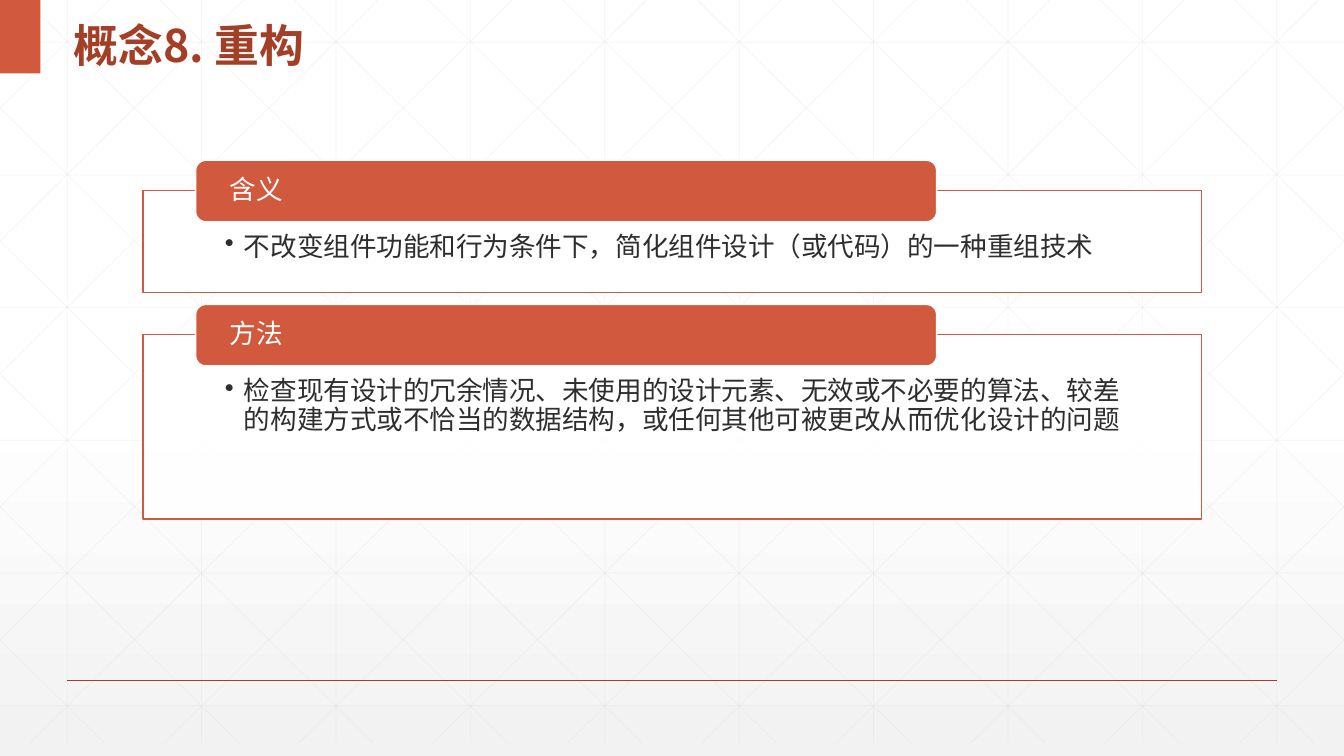
import pptx
import pptx.dml.color
import pptx.enum.shapes
import pptx.enum.text
import pptx.oxml.ns
import pptx.util
from lxml import etree

WIDTH, HEIGHT = 13.33, 7.5
GRID_BOTTOM = 7.37
COLUMN, ROW = WIDTH / 10, 1.316
DIAGONAL_RUN = 7.45
ORANGE, RUST, WHITE, INK, MESH = "D15A3E", "A43F27", "FFFFFF", "2D2E2D", "D9D9D9"
CJK = "Noto Sans CJK SC"
SECTIONS = [
    (1.59, 1.01, "含义",
     "不改变组件功能和行为条件下，简化组件设计（或代码）的一种重组技术"),
    (3.02, 1.83, "方法",
     "检查现有设计的冗余情况、未使用的设计元素、无效或不必要的算法、"
     "较差的构建方式或不恰当的数据结构，或任何其他可被更改从而优化设计的问题"),
]


def rgb(code):
    """Turn a hex string into a colour."""
    return pptx.dml.color.RGBColor.from_string(code)


def add_child(parent, tag, **attributes):
    """Append a drawing element with its attributes."""
    return etree.SubElement(parent, pptx.oxml.ns.qn(tag), **attributes)


def fade(shape, percent):
    """Make the colours set so far on a shape partly transparent."""
    for colour in shape.element.spPr.iter(pptx.oxml.ns.qn("a:srgbClr")):
        add_child(colour, "a:alpha", val=str(percent * 1000))


def add_line(slide, start, end, colour, width, opacity=100):
    """Draw a straight line between two points."""
    points = [pptx.util.Inches(length) for length in (*start, *end)]
    line = slide.shapes.add_connector(pptx.enum.shapes.MSO_CONNECTOR.STRAIGHT, *points)
    line.line.color.rgb = rgb(colour)
    line.line.width = pptx.util.Pt(width)
    if opacity < 100:
        fade(line, opacity)
    add_child(line.element.spPr, "a:effectLst")


def add_block(slide, kind, box, fill, outline=None, opacity=100):
    """Draw a filled shape with an optional outline."""
    block = slide.shapes.add_shape(kind, *(pptx.util.Inches(length) for length in box))
    block.shadow.inherit = False
    block.fill.solid()
    block.fill.fore_color.rgb = rgb(fill)
    if opacity < 100:
        fade(block, opacity)
    if outline:
        block.line.color.rgb = rgb(outline)
        block.line.width = pptx.util.Pt(1)
    else:
        block.line.fill.background()
    return block


def write(shape, text, size, colour, spacing, insets, middle=True, bullet=False,
          bold=False, face="Arial"):
    """Fill a shape with one left-aligned paragraph."""
    frame = shape.text_frame
    frame.word_wrap = True
    frame.margin_left = frame.margin_right = pptx.util.Inches(insets[0])
    frame.margin_top, frame.margin_bottom = map(pptx.util.Inches, insets[1:])
    anchors = pptx.enum.text.MSO_ANCHOR
    frame.vertical_anchor = anchors.MIDDLE if middle else anchors.TOP
    paragraph = frame.paragraphs[0]
    paragraph.alignment = pptx.enum.text.PP_ALIGN.LEFT
    paragraph.line_spacing = spacing
    if bullet:
        indent = pptx.util.Inches(0.19)
        properties = paragraph._p.get_or_add_pPr()
        properties.set("marL", str(indent))
        properties.set("indent", str(-indent))
        add_child(properties, "a:buChar", char="•")
    run = paragraph.add_run()
    run.text = text
    run.font.size = pptx.util.Pt(size)
    run.font.bold = bold
    run.font.color.rgb = rgb(colour)
    run.font.name = face
    add_child(run._r.get_or_add_rPr(), "a:ea", typeface=CJK)


def add_backdrop(slide):
    """Paint the gradient and the faint mesh of lines."""
    fill = slide.background.fill
    fill.gradient()
    fill.gradient_angle = 270
    for stop, position, colour in zip(fill.gradient_stops, (0.53, 1), (WHITE, "F2F2F2")):
        stop.position = position
        stop.color.rgb = rgb(colour)
    mesh = [((x, 0), (x, GRID_BOTTOM))
            for x in (COLUMN * (step + 0.5) for step in range(10))]
    mesh += [((0, y), (WIDTH, y)) for y in (0.42 + ROW * step for step in range(6))]
    for step in range(-5, 10):
        origin = 0.25 + COLUMN * step
        left, right = max(origin, 0), min(origin + DIAGONAL_RUN, WIDTH)
        top, bottom = ((x - origin) * GRID_BOTTOM / DIAGONAL_RUN for x in (left, right))
        mesh += [((left, top), (right, bottom)),
                 ((WIDTH - left, top), (WIDTH - right, bottom))]
    for start, end in mesh:
        add_line(slide, start, end, MESH, 0.5, 25)


def add_section(slide, top, height, heading, body):
    """Draw a bordered panel with its heading tab."""
    shapes = pptx.enum.shapes.MSO_SHAPE
    panel = add_block(slide, shapes.RECTANGLE, (1.42, top + 0.3, 10.5, height),
                      WHITE, ORANGE, 90)
    write(panel, body, 19, INK, 0.9, (0.81, 0.43, 0.15), middle=False, bullet=True)
    tab = add_block(slide, shapes.ROUNDED_RECTANGLE, (1.94, top, 7.35, 0.61),
                    ORANGE, WHITE)
    write(tab, heading, 19, WHITE, 0.9, (0.31, 0, 0))


def main():
    """Build the slide and save it."""
    deck = pptx.Presentation()
    deck.slide_width = pptx.util.Inches(WIDTH)
    deck.slide_height = pptx.util.Inches(HEIGHT)
    slide = deck.slides.add_slide(deck.slide_layouts[6])
    add_backdrop(slide)
    add_line(slide, (COLUMN / 2, HEIGHT * 0.9), (WIDTH - COLUMN / 2, HEIGHT * 0.9), RUST, 1)
    add_block(slide, pptx.enum.shapes.MSO_SHAPE.RECTANGLE, (0, 0, 0.4, 0.73), ORANGE)
    title = slide.shapes.add_textbox(
        *(pptx.util.Inches(length) for length in (0.63, 0, 5.69, 0.73)))
    write(title, "概念8. 重构", 32, RUST, 1.3, (0.1, 0.05, 0.05), bold=True, face=CJK)
    for section in SECTIONS:
        add_section(slide, *section)
    deck.save("out.pptx")


if __name__ == "__main__":
    main()
